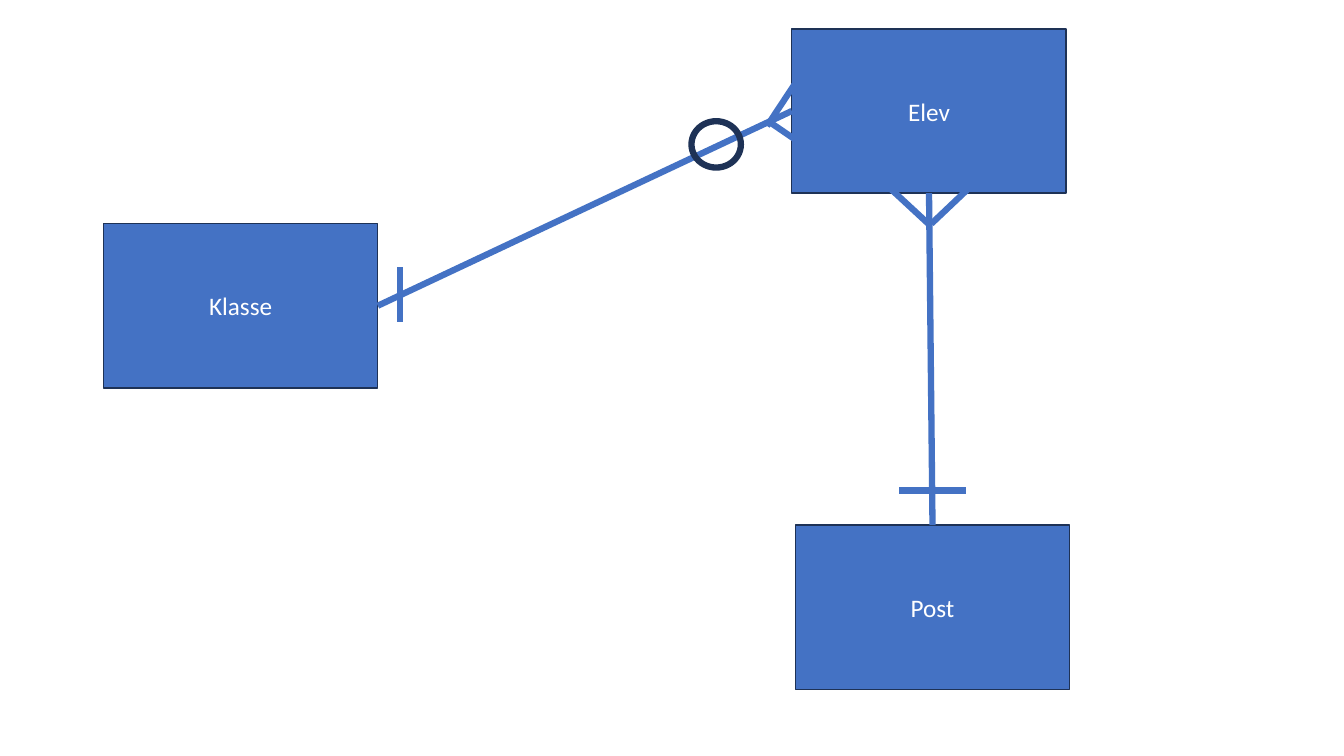
from dataclasses import dataclass

import pptx
import pptx.dml.color
import pptx.enum.shapes
import pptx.enum.text
import pptx.oxml.ns
import pptx.util
from lxml import etree

Pt = pptx.util.Pt
Shape = pptx.enum.shapes.MSO_SHAPE


@dataclass(frozen=True)
class Theme:
    blue: str = "4472C4"
    navy: str = "1E3256"
    white: str = "FFFFFF"
    font: str = "Calibri"
    label_size: float = 18
    border: float = 1
    stroke: float = 4.5


THEME = Theme()
ENTITY_WIDTH, ENTITY_HEIGHT = 196, 117.4
# Connection sites of a rectangle
TOP, LEFT, BOTTOM, RIGHT = range(4)


def color(value):
    return pptx.dml.color.RGBColor.from_string(value)


def set_line(shape, value, width):
    shape.line.color.rgb = color(value)
    shape.line.width = Pt(width)


def add_entity(page, label, left, top):
    """Add a filled box that names one entity."""
    box = page.shapes.add_shape(
        Shape.RECTANGLE, Pt(left), Pt(top), Pt(ENTITY_WIDTH), Pt(ENTITY_HEIGHT))
    box.shadow.inherit = False
    box.fill.solid()
    box.fill.fore_color.rgb = color(THEME.blue)
    set_line(box, THEME.navy, THEME.border)
    box.text_frame.vertical_anchor = pptx.enum.text.MSO_ANCHOR.MIDDLE
    para = box.text_frame.paragraphs[0]
    para.alignment = pptx.enum.text.PP_ALIGN.CENTER
    span = para.add_run()
    span.text = label
    span.font.name = THEME.font
    span.font.size = Pt(THEME.label_size)
    span.font.color.rgb = color(THEME.white)
    return box


def add_stroke(page, start, end):
    """Add a straight blue line between two points."""
    stroke = page.shapes.add_connector(
        pptx.enum.shapes.MSO_CONNECTOR.STRAIGHT, *map(Pt, (*start, *end)))
    set_line(stroke, THEME.blue, THEME.stroke)
    etree.SubElement(stroke.element.spPr, pptx.oxml.ns.qn("a:effectLst"))
    return stroke


def add_relation(page, source, source_site, target, target_site):
    """Join two entities with a connector glued to their sides."""
    start = source.left.pt, source.top.pt
    end = target.left.pt, target.top.pt
    relation = add_stroke(page, start, end)
    relation.begin_connect(source, source_site)
    relation.end_connect(target, target_site)


def add_optional_ring(page, left, top, width, height):
    """Add the open ring that marks an optional relation."""
    ring = page.shapes.add_shape(Shape.OVAL, *map(Pt, (left, top, width, height)))
    ring.shadow.inherit = False
    ring.fill.background()
    set_line(ring, THEME.navy, THEME.stroke)


def main():
    deck = pptx.Presentation()
    deck.slide_width, deck.slide_height = Pt(960), Pt(540)
    page = deck.slides.add_slide(deck.slide_layouts[6])

    # Class and pupil: one to zero or many
    klasse = add_entity(page, "Klasse", 73.9, 159.7)
    elev = add_entity(page, "Elev", 565.6, 20.6)
    add_relation(page, klasse, RIGHT, elev, LEFT)
    add_stroke(page, (547.9, 90), (567.4, 60.5))
    add_stroke(page, (548.6, 86.4), (571.7, 102.2))
    add_stroke(page, (285.8, 190.8), (285.8, 230.2))
    add_optional_ring(page, 493.9, 86.6, 35.3, 33.1)

    # Pupil and post: many to one
    post = add_entity(page, "Post", 568.1, 375.1)
    add_relation(page, elev, BOTTOM, post, TOP)
    add_stroke(page, (633.6, 132.5), (663.1, 159.8))
    add_stroke(page, (694.1, 132.5), (665.3, 159.8))
    add_stroke(page, (642.2, 350.4), (690.2, 350.4))

    deck.save("out.pptx")


if __name__ == "__main__":
    main()
